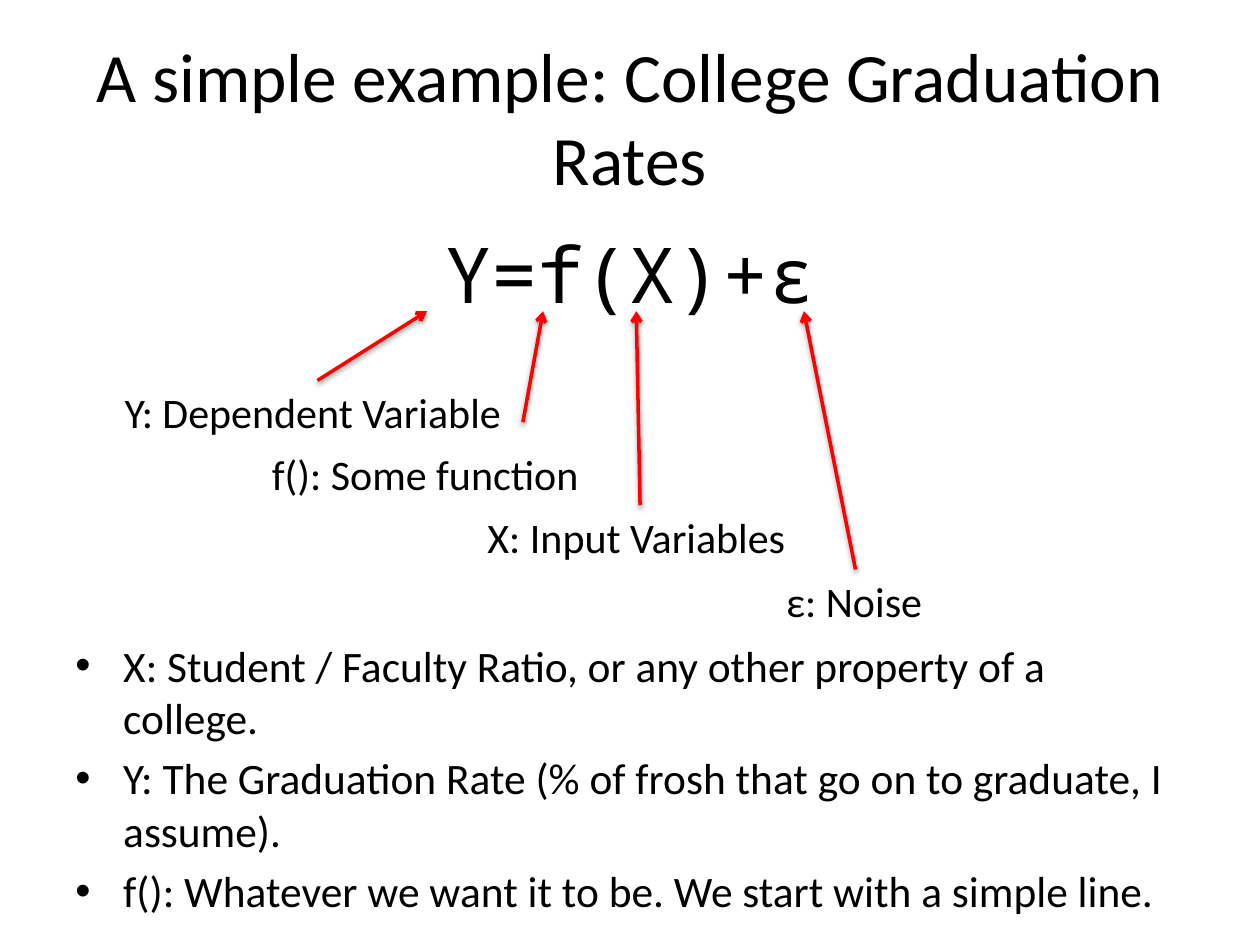
"""Build a slide that explains Y=f(X)+ε with college graduation rates."""
import pptx
import pptx.dml.color
import pptx.enum.shapes
import pptx.enum.text
import pptx.oxml
import pptx.oxml.ns
import pptx.util
from pptx.util import Inches

TITLE = "A simple example: College Graduation Rates"
EQUATION = "Y=f(X)+ε"
BULLETS = [
    "X: Student / Faculty Ratio, or any other property of a college.",
    "Y: The Graduation Rate (% of frosh that go on to graduate, I assume).",
    "f(): Whatever we want it to be. We start with a simple line.",
]
TERMS = [
    ("Y: Dependent Variable", (0.89, 3.02, 3.27), (2.52, 3.02), 3.39),
    ("f(): Some function", (2.06, 3.51, 2.66), (4.15, 3.35), 4.31),
    ("X: Input Variables", (3.77, 4.01, 2.61), (5.08, 4.01), 5.05),
    ("ε: Noise", (6.14, 4.52, 1.29), (6.79, 4.52), 6.38),
]
MARGIN, CONTENT_WIDTH = 0.5, 9
LABEL_HEIGHT = 0.5
ARROW_TIP = 2.47
INDENT = 0.38
NAMESPACE = pptx.oxml.ns.nsdecls("a")
SHADOW = (
    f'<a:effectLst {NAMESPACE}><a:outerShdw blurRad="{pptx.util.Pt(3.1)}" '
    f'dist="{pptx.util.Pt(1.6)}" dir="5400000" rotWithShape="0">'
    '<a:srgbClr val="000000"><a:alpha val="38000"/></a:srgbClr>'
    '</a:outerShdw></a:effectLst>'
)


def color(value):
    return pptx.dml.color.RGBColor.from_string(value)


def add_text(slide, box, lines, size, font="Calibri", centered=False, wrap=True):
    shape = slide.shapes.add_textbox(*map(Inches, box))
    frame = shape.text_frame
    frame.word_wrap = wrap
    for index, line in enumerate(lines):
        paragraph = frame.add_paragraph() if index else frame.paragraphs[0]
        if index:
            paragraph.space_before = pptx.util.Pt(size * 0.2)
        if centered:
            paragraph.alignment = pptx.enum.text.PP_ALIGN.CENTER
        run = paragraph.add_run()
        run.text = line
        run.font.size = pptx.util.Pt(size)
        run.font.name = font
        run.font.color.rgb = color("000000")
    return frame


def add_bullet(paragraph):
    properties = paragraph._p.get_or_add_pPr()
    properties.set("marL", str(Inches(INDENT)))
    properties.set("indent", str(-Inches(INDENT)))
    for element in ('buFont {} typeface="Arial"', 'buChar {} char="•"'):
        properties.append(pptx.oxml.parse_xml(f"<a:{element.format(NAMESPACE)}/>"))


def add_arrow(slide, start, end):
    arrow = slide.shapes.add_connector(
        pptx.enum.shapes.MSO_CONNECTOR.STRAIGHT, *map(Inches, start + end))
    arrow.line.color.rgb = color("FF0000")
    arrow.line.width = pptx.util.Pt(2)
    arrow.line._get_or_add_ln().append(
        pptx.oxml.parse_xml(f'<a:tailEnd {NAMESPACE} type="arrow"/>'))
    arrow._element.spPr.append(pptx.oxml.parse_xml(SHADOW))


def main():
    presentation = pptx.Presentation()
    presentation.slide_width, presentation.slide_height = Inches(10), Inches(7.5)
    slide = presentation.slides.add_slide(presentation.slide_layouts[6])

    title = add_text(slide, (MARGIN, 0.3, CONTENT_WIDTH, 1.25), [TITLE], 39.6, centered=True)
    title.vertical_anchor = pptx.enum.text.MSO_ANCHOR.MIDDLE
    body = add_text(slide, (MARGIN, 5.02, CONTENT_WIDTH, 2.21), BULLETS, 24.8)
    for paragraph in body.paragraphs:
        add_bullet(paragraph)
    add_text(slide, (MARGIN, 1.75, CONTENT_WIDTH, 4.95), [EQUATION], 44,
             font="Noto Sans Mono", centered=True)

    for label, box, start, tip in TERMS:
        frame = add_text(slide, box + (LABEL_HEIGHT,), [label], 24, wrap=False)
        frame.auto_size = pptx.enum.text.MSO_AUTO_SIZE.SHAPE_TO_FIT_TEXT
        add_arrow(slide, start, (tip, ARROW_TIP))

    presentation.save("out.pptx")


if __name__ == "__main__":
    main()
